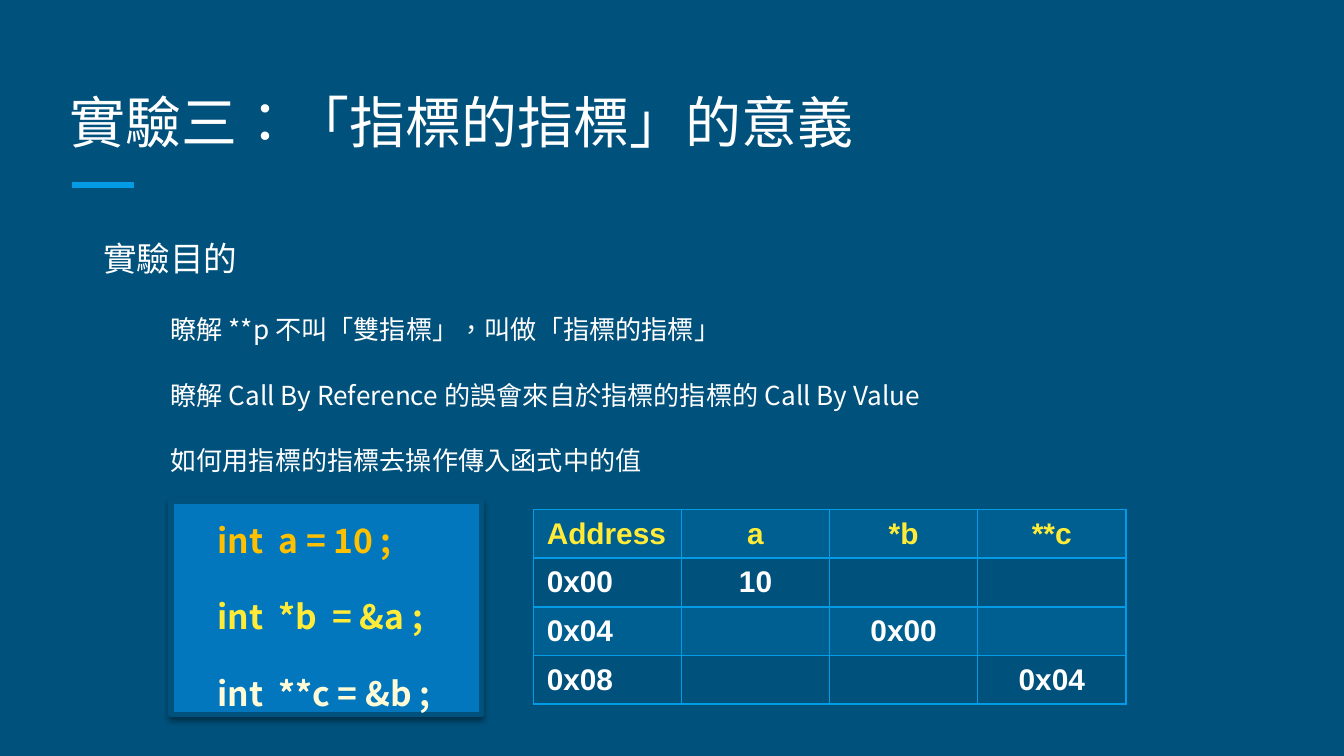
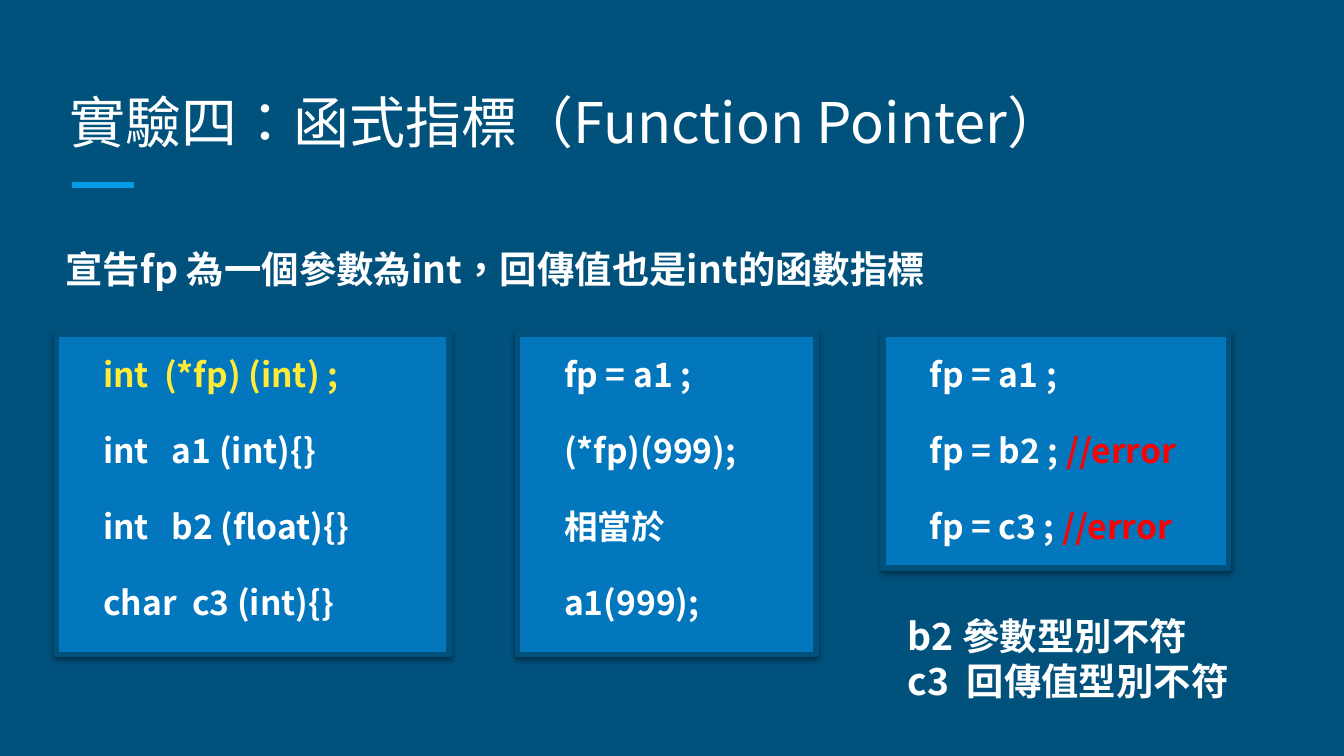
from dataclasses import dataclass

from lxml import etree
from pptx import Presentation
from pptx.dml.color import RGBColor
from pptx.enum.shapes import MSO_CONNECTOR, MSO_SHAPE
from pptx.enum.text import MSO_ANCHOR, PP_ALIGN
from pptx.oxml.ns import qn
from pptx.util import Cm, Pt

RECTANGLE = MSO_SHAPE.RECTANGLE
STRAIGHT = MSO_CONNECTOR.STRAIGHT
TOP, MIDDLE, BOTTOM = MSO_ANCHOR.TOP, MSO_ANCHOR.MIDDLE, MSO_ANCHOR.BOTTOM
LEFT, CENTER = PP_ALIGN.LEFT, PP_ALIGN.CENTER


@dataclass(frozen=True)
class Theme:
    background: str = "00517C"
    accent: str = "039BE5"
    panel: str = "0277BD"
    white: str = "FFFFFF"
    yellow: str = "FFEB38"
    amber: str = "FFC000"
    cream: str = "FFFBD7"
    red: str = "FF0000"
    shadow: str = "000000"
    text_font: str = "Noto Sans CJK SC"
    table_font: str = "Arial"
    title_size: int = 30
    note_size: int = 20
    heading_size: int = 18
    table_size: int = 16
    point_size: int = 14


THEME = Theme()

POINTER_TITLE = "實驗三：「指標的指標」的意義"
GOAL_HEADING = "實驗目的"
GOALS = [
    "瞭解 **p 不叫「雙指標」，叫做「指標的指標」",
    "瞭解 Call By Reference 的誤會來自於指標的指標的 Call By Value",
    "如何用指標的指標去操作傳入函式中的值",
]
POINTER_CODE = [
    [("int  a = 10 ;", THEME.amber)],
    [("int  *b  = &a ;", THEME.yellow)],
    [("int  **c = &b ;", THEME.cream)],
]
ADDRESS_ROWS = [
    ("Address", "a", "*b", "**c"),
    ("0x00", "10", "", ""),
    ("0x04", "", "0x00", ""),
    ("0x08", "", "", "0x04"),
]

FUNCTION_TITLE = "實驗四：函式指標（Function Pointer）"
DECLARATION_NOTE = ["宣告fp 為一個參數為int，回傳值也是int的函數指標"]
ERROR_NOTES = ["b2 參數型別不符", "c3  回傳值型別不符"]
ERROR = ("//error", THEME.red)
DECLARATION_CODE = [
    [("int  (*fp) (int) ;", THEME.yellow)],
    [("int   a1 (int){}", THEME.white)],
    [("int   b2 (float){}", THEME.white)],
    [("char  c3 (int){}", THEME.white)],
]
CALL_CODE = [
    [(line, THEME.white)] for line in ("fp = a1 ;", "(*fp)(999);", "相當於", "a1(999);")
]
ERROR_CODE = [
    [("fp = a1 ;", THEME.white)],
    [("fp = b2 ; ", THEME.white), ERROR],
    [("fp = c3 ; ", THEME.white), ERROR],
]
PANEL_TOP = 6.32
FUNCTION_PANELS = [
    (1.07, 7.42, 6.05, DECLARATION_CODE),
    (16.69, 6.53, 4.42, ERROR_CODE),
    (9.78, 5.64, 6.05, CALL_CODE),
]


def color(value):
    return RGBColor.from_string(value)


def add_run(paragraph, text, size, run_color, bold=False, font=THEME.text_font):
    run = paragraph.add_run()
    run.text = text
    run.font.size = Pt(size)
    run.font.bold = bold
    run.font.color.rgb = color(run_color)
    run.font.name = font
    properties = run.font._element
    properties.set("lang", "zh-TW")
    etree.SubElement(properties, qn("a:ea"), typeface=font)


def next_paragraph(frame, index):
    return frame.add_paragraph() if index else frame.paragraphs[0]


def hang(paragraph, margin=1.27):
    properties = paragraph._p.get_or_add_pPr()
    properties.set("marL", str(Cm(margin)))
    properties.set("indent", str(-Cm(0.64)))
    paragraph.alignment = LEFT


def space_out(paragraph):
    paragraph.line_spacing = 1.15
    paragraph.space_after = Pt(16)


def prepare_frame(shape, inset=0.25, anchor=TOP):
    frame = shape.text_frame
    frame.word_wrap = True
    frame.vertical_anchor = anchor
    frame.margin_left = frame.margin_right = Cm(0.25)
    frame.margin_top = frame.margin_bottom = Cm(inset)
    return frame


def add_text_frame(slide, left, top, width, height, **options):
    box = slide.shapes.add_textbox(Cm(left), Cm(top), Cm(width), Cm(height))
    return prepare_frame(box, **options)


def add_titled_slide(presentation, title):
    slide = presentation.slides.add_slide(presentation.slide_layouts[6])
    rule = slide.shapes.add_connector(STRAIGHT, Cm(1.37), Cm(3.5), Cm(2.54), Cm(3.5))
    rule.line.color.rgb = color(THEME.accent)
    rule.line.width = Pt(3)
    etree.SubElement(rule._element.spPr, qn("a:effectLst"))
    frame = add_text_frame(slide, 1.07, 1.27, 23.24, 1.9, anchor=BOTTOM)
    add_run(frame.paragraphs[0], title, THEME.title_size, THEME.white)
    return slide


def add_goals(slide):
    frame = add_text_frame(slide, 1.07, 4.14, 23.24, 8.56)
    entries = [(GOAL_HEADING, 1.27, THEME.heading_size)]
    entries += [(goal, 2.54, THEME.point_size) for goal in GOALS]
    for index, (text, margin, size) in enumerate(entries):
        paragraph = next_paragraph(frame, index)
        hang(paragraph, margin)
        space_out(paragraph)
        add_run(paragraph, text, size, THEME.white)


def add_note(slide, left, top, width, height, lines):
    frame = add_text_frame(slide, left, top, width, height, inset=0.13)
    for index, line in enumerate(lines):
        paragraph = next_paragraph(frame, index)
        hang(paragraph)
        add_run(paragraph, line, THEME.note_size, THEME.white, bold=True)


def add_shadow(shape):
    shape.shadow.inherit = False
    effects = shape._element.spPr.find(qn("a:effectLst"))
    shadow = etree.SubElement(
        effects, qn("a:outerShdw"), blurRad=str(Pt(3.1)), dist=str(Pt(1.6)),
        dir="5400000", rotWithShape="0",
    )
    shade = etree.SubElement(shadow, qn("a:srgbClr"), val=THEME.shadow)
    etree.SubElement(shade, qn("a:alpha"), val="38000")


def add_code_panel(slide, left, top, width, height, lines):
    panel = slide.shapes.add_shape(RECTANGLE, Cm(left), Cm(top), Cm(width), Cm(height))
    panel.fill.solid()
    panel.fill.fore_color.rgb = color(THEME.panel)
    panel.line.color.rgb = color(THEME.background)
    panel.line.width = Pt(3)
    add_shadow(panel)
    frame = prepare_frame(panel)
    for index, runs in enumerate(lines):
        paragraph = next_paragraph(frame, index)
        hang(paragraph)
        space_out(paragraph)
        for text, run_color in runs:
            add_run(paragraph, text, THEME.heading_size, run_color, bold=True)


def style_cell(cell, banded):
    cell.vertical_anchor = MIDDLE
    cell.margin_top = cell.margin_bottom = 0
    properties = cell._tc.get_or_add_tcPr()
    if banded:
        cell.fill.solid()
        cell.fill.fore_color.rgb = color(THEME.accent)
        tint = properties.find(qn("a:solidFill")).find(qn("a:srgbClr"))
        etree.SubElement(tint, qn("a:alpha"), val="20000")
    else:
        cell.fill.background()
    for position, side in enumerate(("lnL", "lnR", "lnT", "lnB")):
        border = etree.Element(qn(f"a:{side}"), w=str(Pt(1)))
        fill = etree.SubElement(border, qn("a:solidFill"))
        etree.SubElement(fill, qn("a:srgbClr"), val=THEME.accent)
        properties.insert(position, border)


def add_address_table(slide):
    row_count, column_count = len(ADDRESS_ROWS), len(ADDRESS_ROWS[0])
    table = slide.shapes.add_table(
        row_count, column_count, Cm(10.08), Cm(9.63),
        Cm(2.8 * column_count), Cm(0.92 * row_count),
    ).table
    table.first_row = table.horz_banding = False
    for row, values in enumerate(ADDRESS_ROWS):
        text_color = THEME.white if row else THEME.yellow
        for column, value in enumerate(values):
            cell = table.cell(row, column)
            style_cell(cell, banded=row % 2 == 0)
            if value:
                paragraph = cell.text_frame.paragraphs[0]
                paragraph.alignment = CENTER if column else LEFT
                add_run(paragraph, value, THEME.table_size, text_color,
                        bold=True, font=THEME.table_font)


def build_pointer_slide(presentation):
    slide = add_titled_slide(presentation, POINTER_TITLE)
    add_goals(slide)
    add_address_table(slide)
    add_code_panel(slide, 3.23, 9.47, 5.87, 4.04, POINTER_CODE)


def build_function_slide(presentation):
    slide = add_titled_slide(presentation, FUNCTION_TITLE)
    add_note(slide, 0.36, 4.52, 17.65, 1.12, DECLARATION_NOTE)
    for left, width, height, lines in FUNCTION_PANELS:
        add_code_panel(slide, left, PANEL_TOP, width, height, lines)
    add_note(slide, 16.28, 11.46, 7.32, 1.96, ERROR_NOTES)


def main():
    presentation = Presentation()
    presentation.slide_width = Cm(25.4)
    presentation.slide_height = Cm(14.29)
    background = presentation.slide_master.background.fill
    background.solid()
    background.fore_color.rgb = color(THEME.background)
    build_pointer_slide(presentation)
    build_function_slide(presentation)
    presentation.save("out.pptx")


if __name__ == "__main__":
    main()
